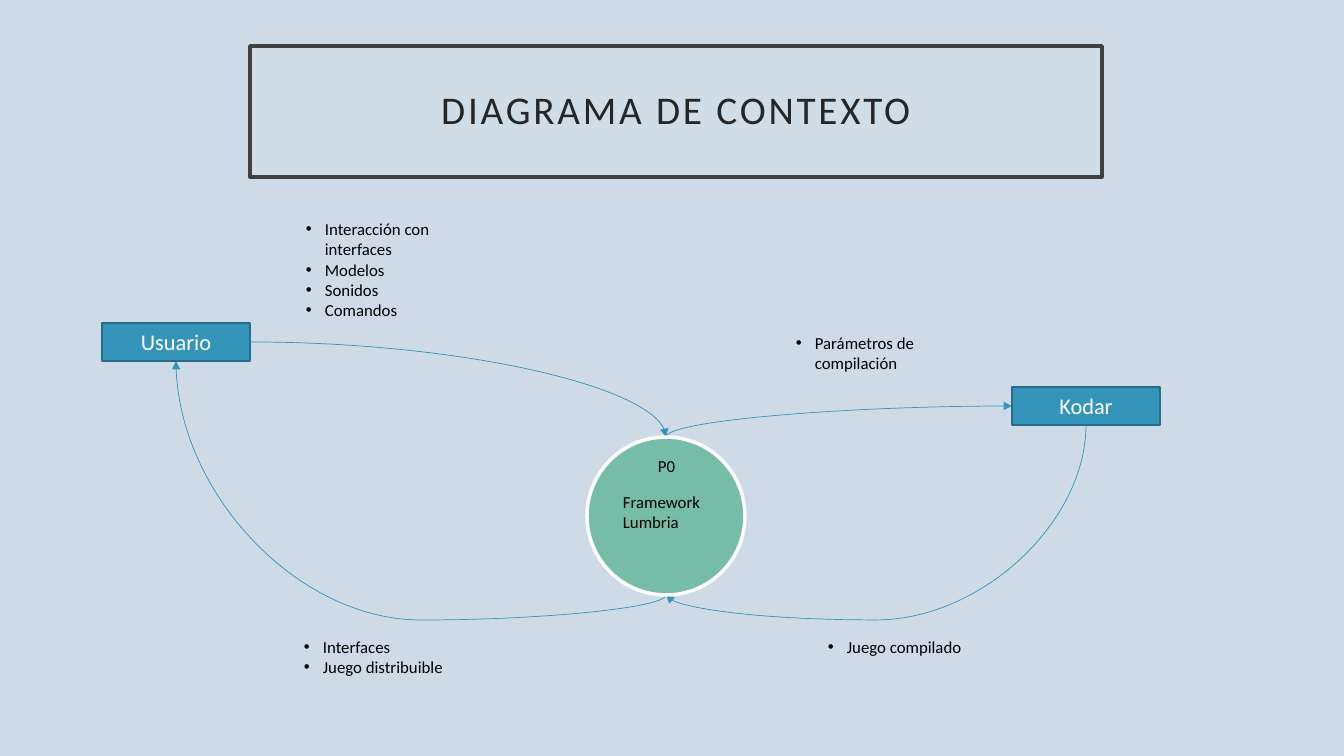
from lxml.etree import SubElement
from pptx import Presentation
from pptx.dml.color import RGBColor
from pptx.enum.shapes import MSO_CONNECTOR as Connector, MSO_SHAPE as Preset
from pptx.enum.text import MSO_ANCHOR as Anchor, PP_ALIGN as Align
from pptx.oxml.ns import qn
from pptx.util import Pt

SCALE = 914400 / 100.8  # EMU per px
BACKGROUND = RGBColor(0xCE, 0xDB, 0xE6)
TITLE_FILL = RGBColor(0xE2, 0xE9, 0xF0)
TITLE_LINE = RGBColor(0x40, 0x40, 0x40)
TITLE_TEXT = RGBColor(0x26, 0x26, 0x26)
BLUE = RGBColor(0x34, 0x94, 0xBA)
DARK_BLUE = RGBColor(0x26, 0x6D, 0x8A)
GREEN = RGBColor(0x75, 0xBD, 0xA7)
WHITE = RGBColor(0xFF, 0xFF, 0xFF)
BLACK = RGBColor(0, 0, 0)


def emu(px):
    return round(px * SCALE)


class ContextDiagram:
    font_name = "Calibri"
    bullet_indent = 19

    def __init__(self, presentation):
        self.slide = presentation.slides.add_slide(presentation.slide_layouts[5])
        self.slide.background.fill.solid()
        self.slide.background.fill.fore_color.rgb = BACKGROUND

    def paint(self, shape, fill, line, width):
        shape.fill.solid()
        shape.fill.fore_color.rgb = fill
        shape.line.color.rgb = line
        shape.line.width = Pt(width)

    def style(self, paragraph, size, color, align=Align.LEFT):
        paragraph.alignment = align
        paragraph.font.name = self.font_name
        paragraph.font.size = Pt(size)
        paragraph.font.color.rgb = color

    def title(self, text, left, top, width, height):
        title = self.slide.shapes.title
        title.left, title.top, title.width, title.height = map(emu, (left, top, width, height))
        self.paint(title, TITLE_FILL, TITLE_LINE, 2.5)
        color = title.fill._xPr.find(qn("a:solidFill"))[0]
        SubElement(color, qn("a:alpha"), val="15000")
        frame = title.text_frame
        frame.text = text
        frame.vertical_anchor = Anchor.MIDDLE
        paragraph = frame.paragraphs[0]
        self.style(paragraph, 28, TITLE_TEXT, Align.CENTER)
        paragraph.line_spacing = 0.9
        paragraph.runs[0].font._element.set("spc", "200")

    def shape(self, preset, left, top, width, height, fill, line, line_width):
        shape = self.slide.shapes.add_shape(preset, *map(emu, (left, top, width, height)))
        shape.shadow.inherit = False
        self.paint(shape, fill, line, line_width)
        return shape

    def entity(self, text, left, top, width, height):
        shape = self.shape(Preset.RECTANGLE, left, top, width, height, BLUE, DARK_BLUE, 1)
        shape.text_frame.text = text
        self.style(shape.text_frame.paragraphs[0], 16, WHITE, Align.CENTER)

    def label(self, lines, left, top, width, height, bulleted=False):
        box = self.slide.shapes.add_textbox(*map(emu, (left, top, width, height)))
        box.text_frame.word_wrap = True
        box.text_frame.text = "\n".join(lines)
        for paragraph in box.text_frame.paragraphs:
            self.style(paragraph, 12, BLACK)
            if bulleted:
                properties = paragraph._p.get_or_add_pPr()
                properties.set("marL", str(emu(self.bullet_indent)))
                properties.set("indent", str(-emu(self.bullet_indent)))
                SubElement(properties, qn("a:buFont"), typeface="Arial")
                SubElement(properties, qn("a:buChar"), char="•")

    def flow(self, begin, end, vertical=True, turn_y=None):
        """Curved arrow; a vertical start turns the frame, turn_y bends it twice."""
        dx, dy = end[0] - begin[0], end[1] - begin[1]
        connector = self.slide.shapes.add_connector(
            Connector.CURVE, *map(emu, (*begin, *end)))
        frame = connector._element.spPr.find(qn("a:xfrm"))
        geometry = connector._element.spPr.find(qn("a:prstGeom"))
        if vertical:
            width, height = abs(dy), abs(dx)
            connector.left = emu((begin[0] + end[0] - width) / 2)
            connector.top = emu((begin[1] + end[1] - height) / 2)
            connector.width, connector.height = emu(width), emu(height)
            frame.set("rot", "5400000")
            frame.set("flipH", str(int(dy < 0)))
            frame.set("flipV", str(int(dx > 0)))
        if turn_y is None:
            geometry.set("prst", "curvedConnector2")
        else:
            bend = round((turn_y - begin[1]) / dy * 100000)
            SubElement(geometry.find(qn("a:avLst")), qn("a:gd"),
                       name="adj1", fmla=f"val {bend}")
        connector.line.color.rgb = BLUE
        connector.line.width = Pt(0.5)
        SubElement(connector.line._get_or_add_ln(), qn("a:tailEnd"), type="triangle")
        SubElement(connector._element.spPr, qn("a:effectLst"))


def main():
    presentation = Presentation()
    presentation.slide_width, presentation.slide_height = emu(1344), emu(756)
    diagram = ContextDiagram(presentation)
    diagram.title("DIAGRAMA DE CONTEXTO", 250, 46, 852, 131)

    # Flows between the entities and the process
    process_top, process_bottom = (666, 437), (666, 595)
    lowest = 620
    diagram.flow((250, 342), process_top, vertical=False)
    diagram.flow(process_top, (1012, 406))
    diagram.flow(process_bottom, (176, 361), turn_y=lowest)
    diagram.flow((1086, 425), process_bottom, turn_y=lowest)

    # Central process
    diagram.shape(Preset.OVAL, 587, 437, 158, 158, GREEN, WHITE, 2.5)
    diagram.label(["Framework Lumbria"], 613, 487, 106, 50)
    diagram.label(["P0"], 648, 451, 44, 30)

    # External entities
    diagram.entity("Usuario", 102, 323, 148, 38)
    diagram.entity("Kodar", 1012, 387, 148, 38)

    # Data carried by each flow
    for lines, *box in (
        (["Interacción con interfaces", "Modelos", "Sonidos", "Comandos"], 296, 214, 147, 112),
        (["Parámetros de compilación"], 786, 328, 165, 50),
        (["Interfaces", "Juego distribuible"], 294, 632, 179, 50),
        (["Juego compilado"], 818, 632, 179, 30),
    ):
        diagram.label(lines, *box, bulleted=True)

    presentation.save("out.pptx")


if __name__ == "__main__":
    main()
